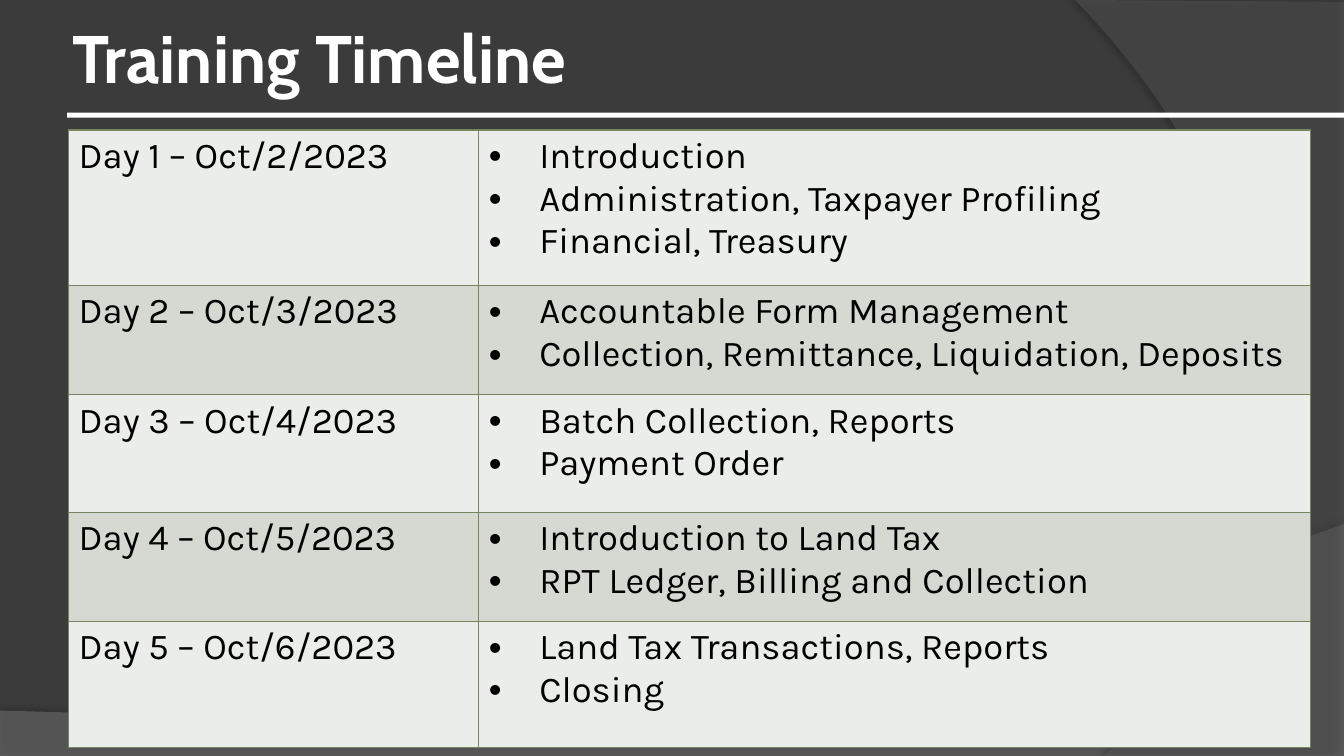
from dataclasses import dataclass

from lxml import etree
from pptx import Presentation
from pptx import util as u
from pptx.dml.color import RGBColor
from pptx.enum import shapes, text
from pptx.oxml import ns


@dataclass(frozen=True)
class Theme:
    background: str = "3B3B3B"
    wave: str = "7F7F7F"
    arc: str = "5E5E5E"
    shadow: str = "000000"
    title: str = "FFFFFF"
    body: str = "000000"
    border: str = "748560"
    bands: tuple = ("EBEDEA", "D6D9D2")
    title_font: str = "Cabin"
    body_font: str = "Karla"
    title_size: int = 48
    body_size: int = 26


theme = Theme()


def child(parent, tag, **attributes):
    return etree.SubElement(parent, ns.qn(tag), {k: str(v) for k, v in attributes.items()})


def add_run(paragraph, words, font, size, color, bold=False):
    run = paragraph.add_run()
    run.text = words
    run.font.name = font
    run.font.size = u.Pt(size)
    run.font.bold = bold
    run.font.color.rgb = RGBColor.from_string(color)


prs = Presentation()
prs.slide_width, prs.slide_height = u.Pt(960), u.Pt(540)
slide = prs.slides.add_slide(prs.slide_layouts[6])
slide.background.fill.solid()
slide.background.fill.fore_color.rgb = RGBColor.from_string(theme.background)

# Background swooshes: corners, Bezier curve, colour, opacity, shadow
swooshes = [
    ([(0, 507.6), (0, 540.5), (960, 540.5)],
     [(960, 374.4), (536.4, 524.9), (375.1, 517.7), (0, 507.6)],
     theme.wave, 45, (35, 4, 3.5, 270)),
    ([(960, 1.4), (960, 540)],
     [(788.4, 540), (897.1, 445.7), (977, 216), (768, 0)],
     theme.arc, 40, (45, 4, 4, 180)),
]
steps = 60
for corners, curve, color, opacity, (shade, blur, distance, angle) in swooshes:
    outline = list(corners)
    for step in range(steps + 1):
        t = step / steps
        weights = ((1 - t) ** 3, 3 * t * (1 - t) ** 2, 3 * t ** 2 * (1 - t), t ** 3)
        outline.append(tuple(sum(w * p[axis] for w, p in zip(weights, curve)) for axis in (0, 1)))
    points = [(u.Pt(x), u.Pt(y)) for x, y in outline]
    builder = slide.shapes.build_freeform(*points[0])
    builder.add_line_segments(points[1:], close=True)
    swoosh = builder.convert_to_shape()
    swoosh.fill.solid()
    swoosh.fill.fore_color.rgb = RGBColor.from_string(color)
    swoosh.line.fill.background()
    swoosh.shadow.inherit = False
    properties = swoosh.element.spPr
    fill_color = properties.find(ns.qn("a:solidFill")).find(ns.qn("a:srgbClr"))
    child(fill_color, "a:alpha", val=opacity * 1000)
    cast = child(properties.find(ns.qn("a:effectLst")), "a:outerShdw", blurRad=u.Pt(blur),
                 dist=u.Pt(distance), dir=angle * 60000, algn="ctr", rotWithShape=0)
    child(child(cast, "a:srgbClr", val=theme.shadow), "a:alpha", val=shade * 1000)

# Rule under the title
rule = slide.shapes.add_shape(shapes.MSO_SHAPE.RECTANGLE, u.Pt(48), u.Pt(80.4), u.Pt(912), u.Pt(3.6))
rule.fill.solid()
rule.fill.fore_color.rgb = RGBColor.from_string(theme.title)
rule.line.fill.background()
rule.shadow.inherit = False

# Title
title = slide.shapes.add_textbox(u.Pt(48), u.Pt(3.6), u.Pt(858), u.Pt(74)).text_frame
title.word_wrap = True
title.vertical_anchor = text.MSO_ANCHOR.MIDDLE
title.margin_left = title.margin_right = title.margin_top = title.margin_bottom = u.Pt(3.6)
add_run(title.paragraphs[0], "Training Timeline", theme.title_font, theme.title_size, theme.title, True)

# Timeline: day, row height, topics
days = [
    ("Day 1 – Oct/2/2023", 111,
     ["Introduction", "Administration, Taxpayer Profiling", "Financial, Treasury"]),
    ("Day 2 – Oct/3/2023", 78,
     ["Accountable Form Management", "Collection, Remittance, Liquidation, Deposits"]),
    ("Day 3 – Oct/4/2023", 84, ["Batch Collection, Reports", "Payment Order"]),
    ("Day 4 – Oct/5/2023", 78, ["Introduction to Land Tax", "RPT Ledger, Billing and Collection"]),
    ("Day 5 – Oct/6/2023", 90, ["Land Tax Transactions, Reports", "Closing"]),
]
timeline = slide.shapes.add_table(len(days), 2, u.Pt(49), u.Pt(92.9), u.Pt(887), u.Pt(441)).table
timeline.first_row = timeline.horz_banding = False
timeline.columns[0].width, timeline.columns[1].width = u.Pt(293), u.Pt(594)

for row, (day, height, topics) in enumerate(days):
    timeline.rows[row].height = u.Pt(height)
    for column, entries in enumerate(([day], topics)):
        cell = timeline.cell(row, column)
        for index, entry in enumerate(entries):
            paragraph = cell.text_frame.paragraphs[0] if index == 0 else cell.text_frame.add_paragraph()
            add_run(paragraph, entry, theme.body_font, theme.body_size, theme.body)
            if column == 1:
                bullet = paragraph._p.get_or_add_pPr()
                bullet.set("marL", str(u.Pt(36)))
                bullet.set("indent", str(u.Pt(-36)))
                child(bullet, "a:buFont", typeface="Arial")
                child(bullet, "a:buChar", char="•")

        # Borders come before the fill in the cell properties
        edges = cell._tc.get_or_add_tcPr()
        for side in ("a:lnL", "a:lnR", "a:lnT", "a:lnB"):
            edge = child(edges, side, w=u.Pt(1))
            child(child(edge, "a:solidFill"), "a:srgbClr", val=theme.border)
        cell.fill.solid()
        cell.fill.fore_color.rgb = RGBColor.from_string(theme.bands[row % 2])

prs.save("out.pptx")
